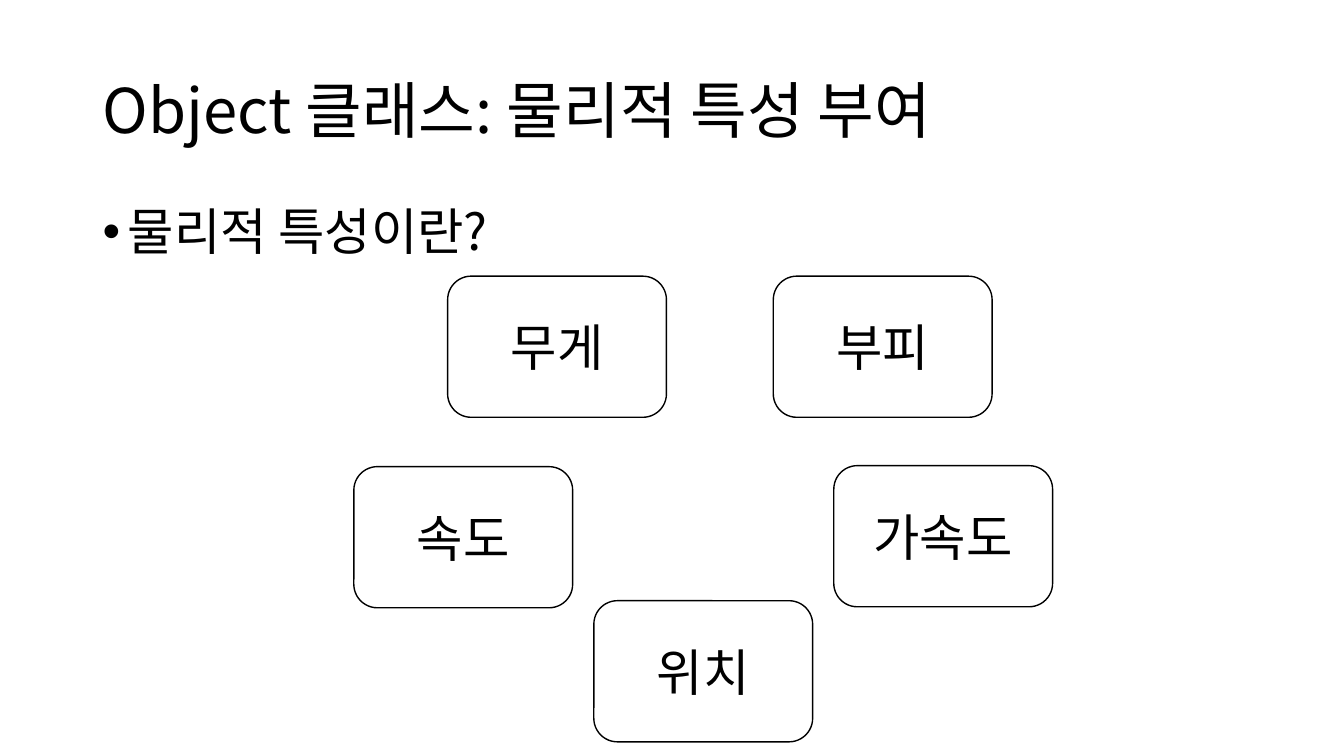
import pptx
import pptx.dml.color
import pptx.enum.shapes
import pptx.enum.text
import pptx.oxml.ns
import pptx.util
from lxml import etree

WIDTH, HEIGHT = 13.33, 7.5
FONT = "Noto Sans CJK KR"
COLORS = {"ink": "000000", "paper": "FFFFFF"}
TITLE_BOX = (0.92, 0.4, 11.5, 1.45)
BODY_BOX = (0.92, 2, 11.5, 4.76)
TRAIT_SIZE = (2.17, 1.4)
TRAITS = {
    "무게": (4.44, 2.74),
    "속도": (3.51, 4.63),
    "위치": (5.89, 5.96),
    "부피": (7.67, 2.74),
    "가속도": (8.27, 4.62),
}


def color(name):
    """Return the named colour."""
    return pptx.dml.color.RGBColor.from_string(COLORS[name])


def inches(box):
    """Convert a box given in inches to lengths."""
    return [pptx.util.Inches(length) for length in box]


def write(shape, wording, size, anchor, paragraph_format):
    """Put one formatted paragraph into a shape and return it."""
    frame = shape.text_frame
    frame.word_wrap = True
    frame.vertical_anchor = anchor
    paragraph = frame.paragraphs[0]
    for attribute, value in paragraph_format.items():
        setattr(paragraph, attribute, value)
    run = paragraph.add_run()
    run.text = wording
    for attribute, value in {"size": pptx.util.Pt(size), "name": FONT}.items():
        setattr(run.font, attribute, value)
    run.font.color.rgb = color("ink")
    east_asian = etree.SubElement(run.font._element, pptx.oxml.ns.qn("a:ea"))
    east_asian.set("typeface", FONT)
    return paragraph


def add_title(slide, box, wording):
    """Place the slide heading in its box."""
    heading = slide.shapes.add_textbox(*inches(box))
    write(heading, wording, 44, pptx.enum.text.MSO_ANCHOR.MIDDLE, {"line_spacing": 0.9})


def add_question(slide, box, wording):
    """Place the bulleted question in its box."""
    question = slide.shapes.add_textbox(*inches(box))
    spacing = {"line_spacing": 0.9, "space_before": pptx.util.Pt(10)}
    paragraph = write(question, wording, 36, pptx.enum.text.MSO_ANCHOR.TOP, spacing)
    properties = paragraph._p.get_or_add_pPr()
    indent = pptx.util.Inches(0.25)
    for attribute, value in {"marL": indent, "indent": -indent}.items():
        properties.set(attribute, str(int(value)))
    for tag, attribute, value in (("a:buFont", "typeface", "Arial"), ("a:buChar", "char", "•")):
        etree.SubElement(properties, pptx.oxml.ns.qn(tag)).set(attribute, value)


def add_trait(slide, box, wording):
    """Draw one rounded card holding a physical trait."""
    card = slide.shapes.add_shape(
        pptx.enum.shapes.MSO_SHAPE.ROUNDED_RECTANGLE, *inches(box))
    card.shadow.inherit = False
    card.fill.solid()
    card.fill.fore_color.rgb = color("paper")
    card.line.color.rgb = color("ink")
    card.line.width = pptx.util.Pt(1)
    centred = {"alignment": pptx.enum.text.PP_ALIGN.CENTER}
    write(card, wording, 36, pptx.enum.text.MSO_ANCHOR.MIDDLE, centred)


def main():
    """Build the slide and save it."""
    deck = pptx.Presentation()
    deck.slide_width, deck.slide_height = inches((WIDTH, HEIGHT))
    slide = deck.slides.add_slide(deck.slide_layouts[6])
    slide.background.fill.solid()
    slide.background.fill.fore_color.rgb = color("paper")
    add_title(slide, TITLE_BOX, "Object 클래스: 물리적 특성 부여")
    add_question(slide, BODY_BOX, "물리적 특성이란?")
    for trait, corner in TRAITS.items():
        add_trait(slide, corner + TRAIT_SIZE, trait)
    deck.save("out.pptx")


if __name__ == "__main__":
    main()
